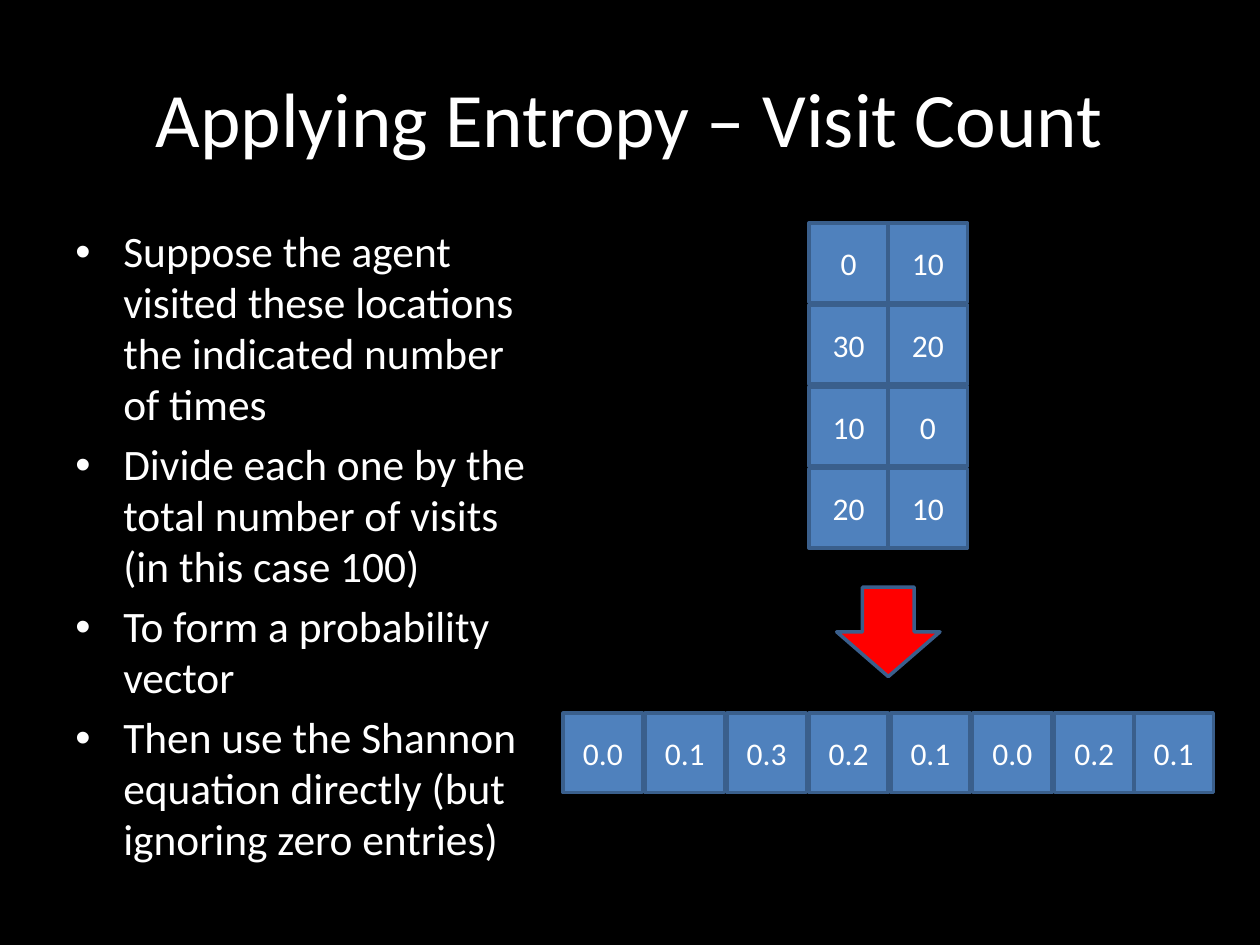
from dataclasses import dataclass

from lxml.etree import SubElement
from pptx import Presentation
from pptx.dml.color import RGBColor
from pptx.enum.shapes import MSO_SHAPE as Preset
from pptx.enum.text import MSO_ANCHOR as Anchor, PP_ALIGN as Align
from pptx.oxml.ns import qn
from pptx.util import Inches, Pt

COLORS = {"background": "000000", "text": "FFFFFF", "cell": "4F81BD",
          "outline": "3A5F8C", "arrow": "FF0000"}
FONT = "Calibri"
CELL = 0.63
PITCH = 0.65


@dataclass
class Cell:
    label: str
    left: float
    top: float


def color(name: str) -> RGBColor:
    return RGBColor.from_string(COLORS[name])


def write(frame, *lines: str, size: float, align=Align.CENTER,
          anchor=Anchor.MIDDLE, bullet: str = "", indent: float = 0,
          before: float = 0, spacing: float = 1) -> None:
    frame.word_wrap = True
    frame.vertical_anchor = anchor
    for number, line in enumerate(lines):
        paragraph = frame.add_paragraph() if number else frame.paragraphs[0]
        paragraph.alignment = align
        paragraph.space_before = Pt(before)
        paragraph.line_spacing = spacing
        run = paragraph.add_run()
        run.text = line
        run.font.name = FONT
        run.font.size = Pt(size)
        run.font.color.rgb = color("text")
        if bullet:
            props = paragraph._p.get_or_add_pPr()
            props.set("marL", str(Inches(indent)))
            props.set("indent", str(-Inches(indent)))
            SubElement(props, qn("a:buFont"), typeface="Arial")
            SubElement(props, qn("a:buChar"), char=bullet)


def add_box(slide, left: float, top: float, width: float, height: float):
    return slide.shapes.add_textbox(
        Inches(left), Inches(top), Inches(width), Inches(height)).text_frame


def add_outlined(slide, preset, left: float, top: float, width: float,
                 height: float, fill: str):
    shape = slide.shapes.add_shape(
        preset, Inches(left), Inches(top), Inches(width), Inches(height))
    shape.shadow.inherit = False
    shape.fill.solid()
    shape.fill.fore_color.rgb = color(fill)
    shape.line.color.rgb = color("outline")
    shape.line.width = Pt(2)
    return shape


def draw_cell(slide, cell: Cell) -> None:
    square = add_outlined(slide, Preset.RECTANGLE, cell.left, cell.top,
                          CELL, CELL, "cell")
    write(square.text_frame, cell.label, size=18)


prs = Presentation()
prs.slide_width, prs.slide_height = Inches(10), Inches(7.5)
slide = prs.slides.add_slide(prs.slide_layouts[6])
slide.background.fill.solid()
slide.background.fill.fore_color.rgb = color("background")

# Title and explanation
write(add_box(slide, 0.5, 0.3, 9, 1.25), "Applying Entropy – Visit Count", size=44)
write(
    add_box(slide, 0.5, 1.75, 3.95, 5.31),
    "Suppose the agent visited these locations the indicated number of times",
    "Divide each one by the total number of visits (in this case 100)",
    "To form a probability vector",
    "Then use the Shannon equation directly (but ignoring zero entries)",
    size=24.8, align=Align.LEFT, anchor=Anchor.TOP, bullet="•", indent=0.38,
    before=5, spacing=0.98)

# Visit counts by location
visit_rows = [("0", "10"), ("30", "20"), ("10", "0"), ("20", "10")]
grid_left, grid_top = 6.42, 1.77
for row, counts in enumerate(visit_rows):
    for column, count in enumerate(counts):
        draw_cell(slide, Cell(count, grid_left + column * CELL, grid_top + row * PITCH))

# Probability vector, its last cell touching the one before
probabilities = ["0.0", "0.1", "0.3", "0.2", "0.1", "0.0", "0.2", "0.1"]
vector_left, vector_top = 4.47, 5.66
last = len(probabilities) - 1
for index, probability in enumerate(probabilities):
    left = vector_left + index * PITCH - (PITCH - CELL if index == last else 0)
    draw_cell(slide, Cell(probability, left, vector_top))

# Step from counts to probabilities
add_outlined(slide, Preset.DOWN_ARROW, 6.64, 4.66, 0.82, 0.71, "arrow")

prs.save("out.pptx")
